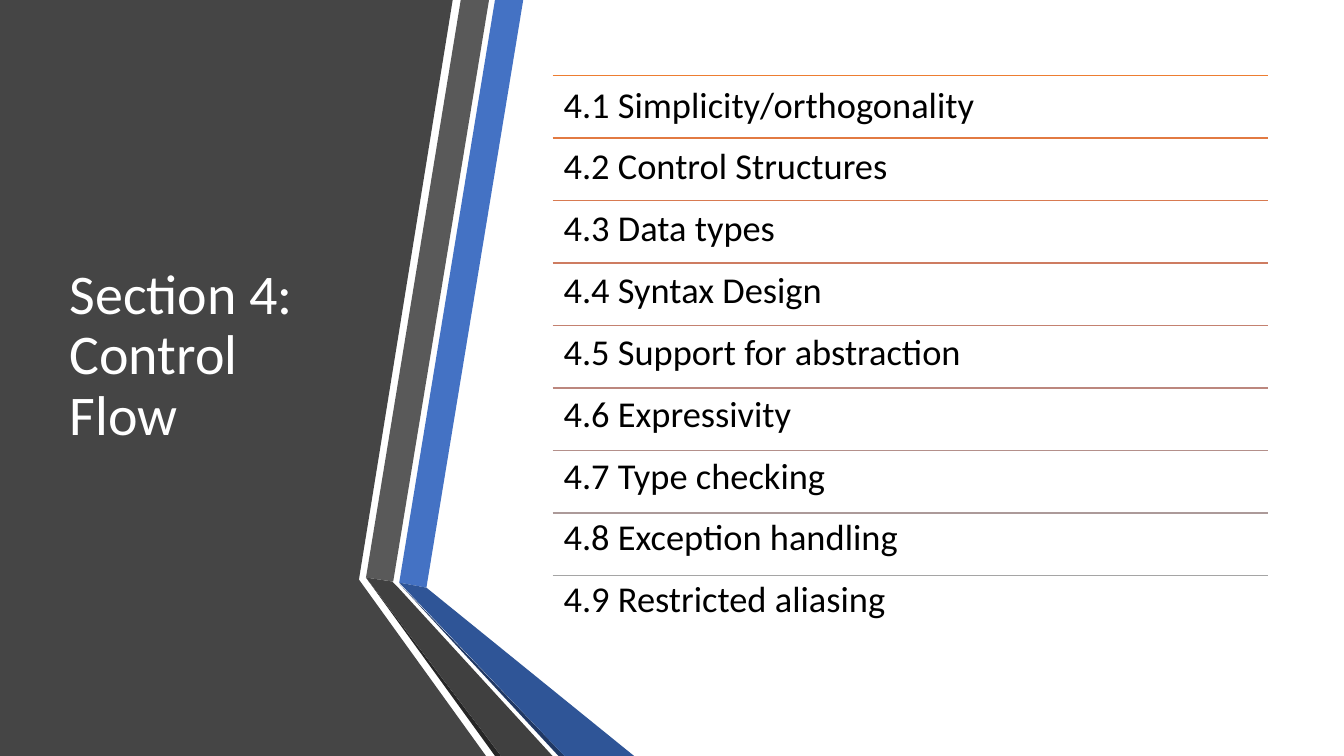
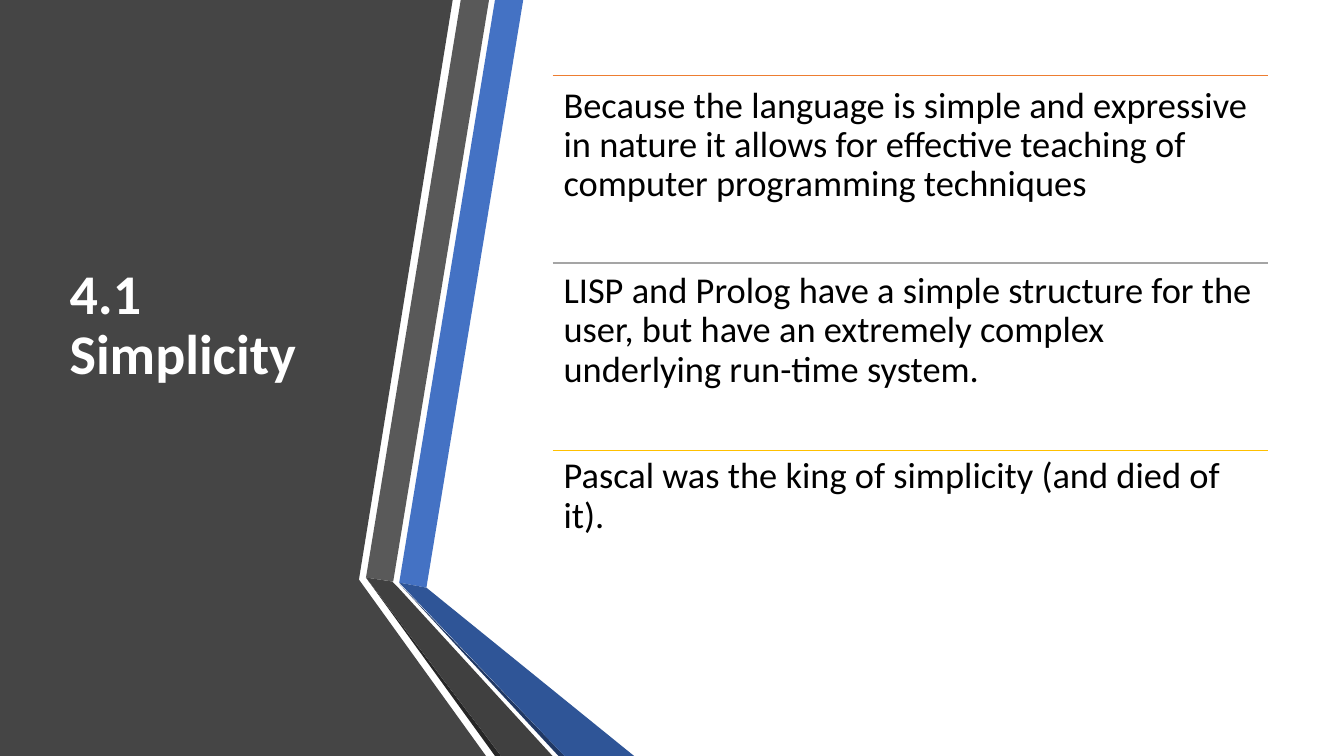
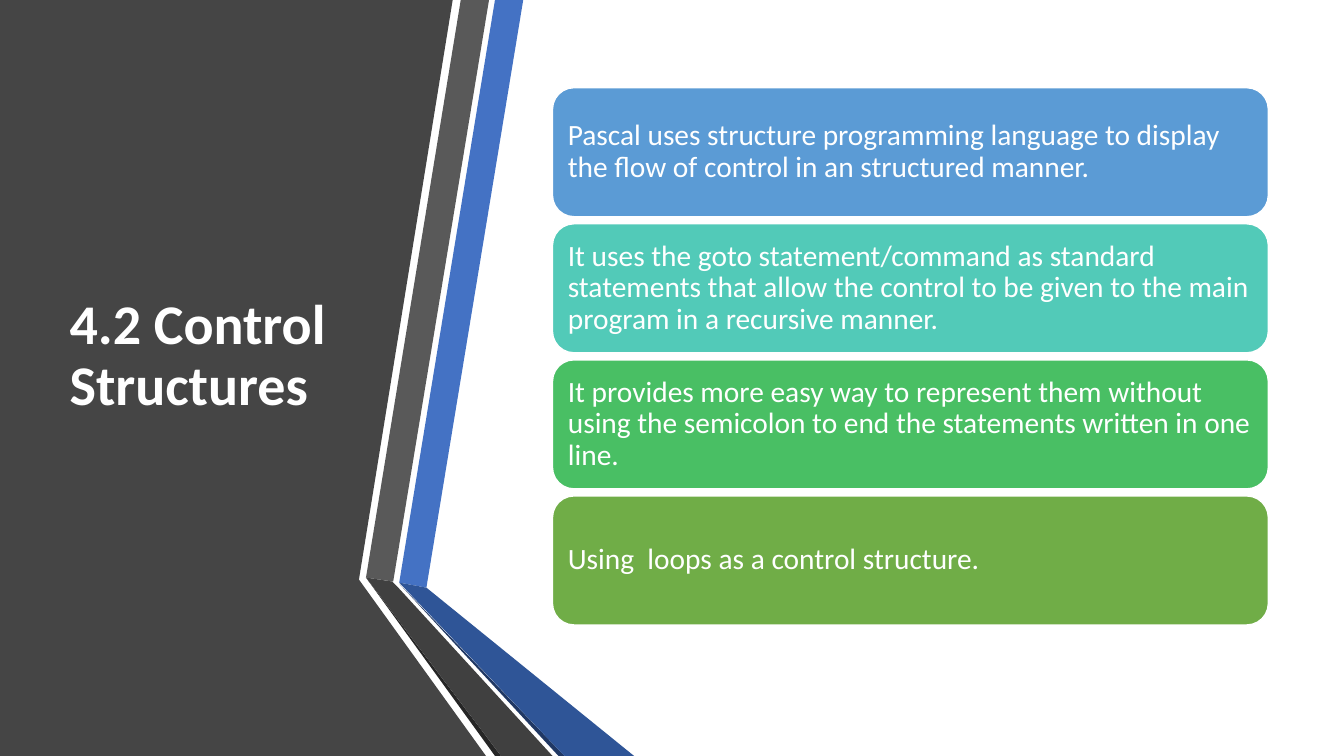
from lxml.etree import SubElement
from pptx import Presentation
from pptx.dml.color import RGBColor
from pptx.enum.shapes import MSO_CONNECTOR as CONN, MSO_SHAPE as SHAPE
from pptx.enum.text import MSO_ANCHOR as ANCHOR, MSO_AUTO_SIZE as FIT, PP_ALIGN as ALIGN
from pptx.oxml.ns import qn
from pptx.util import Inches, Pt

WHITE = RGBColor(0xFF, 0xFF, 0xFF)
BLACK = RGBColor(0x00, 0x00, 0x00)
PANEL = RGBColor(0x45, 0x45, 0x45)
GREY = RGBColor(0x59, 0x59, 0x59)
GREY_FOLD = RGBColor(0x40, 0x40, 0x40)
GREY_EDGE = RGBColor(0x26, 0x26, 0x26)
BLUE = RGBColor(0x44, 0x72, 0xC4)
BLUE_FOLD = RGBColor(0x2F, 0x55, 0x97)
BLUE_EDGE = RGBColor(0x20, 0x38, 0x64)
ORANGE = RGBColor(0xED, 0x7D, 0x31)
SILVER = RGBColor(0xA5, 0xA5, 0xA5)
GOLD = RGBColor(0xFF, 0xC0, 0x00)
SKY = RGBColor(0x5B, 0x9B, 0xD5)
TEAL = RGBColor(0x52, 0xCA, 0xB8)
GREEN = RGBColor(0x49, 0xBF, 0x64)
OLIVE = RGBColor(0x70, 0xAD, 0x47)
ORANGE_TO_SILVER = [
    ORANGE,
    RGBColor(0xE2, 0x7A, 0x42),
    RGBColor(0xD8, 0x7A, 0x51),
    RGBColor(0xCE, 0x7C, 0x61),
    RGBColor(0xC4, 0x81, 0x70),
    RGBColor(0xBC, 0x87, 0x7E),
    RGBColor(0xB4, 0x90, 0x8B),
    RGBColor(0xAC, 0x9A, 0x99),
    SILVER,
]

BANDS = [
    (PANEL, [(0, 0), (4.49, 0), (3.56, 5.75), (4.82, 7.5), (0, 7.5)]),
    (BLUE, [(3.96, 5.78), (4.23, 5.83), (5.19, 0), (4.91, 0)]),
    (GREY, [(4.85, 0), (4.57, 0), (3.63, 5.73), (3.9, 5.77)]),
    (GREY_EDGE, [(3.63, 5.73), (4.91, 7.5), (4.97, 7.5)]),
    (BLUE_EDGE, [(3.96, 5.79), (5.54, 7.5), (5.6, 7.5)]),
    (BLUE_FOLD, [(3.96, 5.78), (5.6, 7.5), (6.29, 7.5), (4.23, 5.83)]),
    (GREY_FOLD, [(5.48, 7.5), (3.95, 5.83), (3.89, 5.77), (3.63, 5.73), (4.97, 7.5)]),
]


class Deck:
    font = "Calibri"
    title_size, list_size, card_size = 40, 26, 21
    left, top, width, height = 5.48, 0.75, 7.1, 5.58
    spacing, line_height = 0.9, 1.22

    def __init__(self):
        self.prs = Presentation()
        self.prs.slide_width = Inches(13.33)
        self.prs.slide_height = Inches(7.5)

    def slide(self, layout):
        self.s = self.prs.slides.add_slide(self.prs.slide_layouts.get_by_name(layout))
        for colour, points in BANDS:
            self.band(colour, points)
        for ph in self.s.placeholders:
            ph.element.getparent().append(ph.element)

    def band(self, colour, points):
        start, *rest = [(Inches(x), Inches(y)) for x, y in points]
        builder = self.s.shapes.build_freeform(*start)
        builder.add_line_segments(rest, close=True)
        sp = builder.convert_to_shape()
        sp.shadow.inherit = False
        sp.fill.solid()
        sp.fill.fore_color.rgb = colour
        sp.line.fill.background()

    def place(self, sp, left, width):
        sp.left, sp.top = Inches(left), Inches(self.top)
        sp.width, sp.height = Inches(width), Inches(self.height)

    def frame(self, sp, anchor, inset=None):
        tf = sp.text_frame
        tf.word_wrap = True
        tf.auto_size = FIT.NONE
        tf.vertical_anchor = anchor
        if inset is not None:
            tf.margin_left = tf.margin_right = Inches(inset)
            tf.margin_top = tf.margin_bottom = Inches(inset)
        return tf

    def text(self, p, words, size, colour, bold=False):
        p.alignment = ALIGN.LEFT
        p.line_spacing = self.spacing
        p.space_before = Pt(0)
        r = p.add_run()
        r.text = words
        r.font.name = self.font
        r.font.size = Pt(size)
        r.font.bold = bold
        r.font.color.rgb = colour

    def title(self, words, bold=True, bottom=0.05):
        sp = self.s.shapes.title
        self.place(sp, 0.59, 3.04)
        tf = self.frame(sp, ANCHOR.MIDDLE)
        tf.margin_bottom = Inches(bottom)
        self.text(tf.paragraphs[0], words, self.title_size, WHITE, bold)

    def rule(self, y, colour):
        line = self.s.shapes.add_connector(
            CONN.STRAIGHT, Inches(self.left), Inches(y),
            Inches(self.left + self.width), Inches(y))
        line.line.color.rgb = colour
        line.line.width = Pt(1)
        SubElement(line.element.spPr, qn("a:effectLst"))

    def ruled_list(self, items, colours, lines):
        row = self.height / len(items)
        gap = row * 72 - lines * self.list_size * self.line_height * self.spacing
        sp = self.s.placeholders[1]
        self.place(sp, self.left, self.width)
        tf = self.frame(sp, ANCHOR.TOP, 0.11)
        for i, (words, colour) in enumerate(zip(items, colours)):
            self.rule(self.top + i * row, colour)
            p = tf.add_paragraph() if i else tf.paragraphs[0]
            self.text(p, words, self.list_size, BLACK)
            p.space_after = Pt(gap if i < len(items) - 1 else 0)
            pPr = p._p.get_or_add_pPr()
            pPr.set("marL", "0")
            pPr.set("indent", "0")
            SubElement(pPr, qn("a:buNone"))

    def cards(self, items, top=0.87, height=1.28, step=1.35):
        for i, (words, colour) in enumerate(items):
            sp = self.s.shapes.add_shape(
                SHAPE.ROUNDED_RECTANGLE, Inches(self.left), Inches(top + i * step),
                Inches(self.width), Inches(height))
            sp.shadow.inherit = False
            sp.fill.solid()
            sp.fill.fore_color.rgb = colour
            sp.line.color.rgb = WHITE
            sp.line.width = Pt(1)
            tf = self.frame(sp, ANCHOR.MIDDLE, 0.09)
            self.text(tf.paragraphs[0], words, self.card_size, WHITE)


def main():
    deck = Deck()

    deck.slide("Title and Content")
    deck.title("Section 4: Control Flow", bold=False)
    deck.ruled_list([
        "4.1 Simplicity/orthogonality",
        "4.2 Control Structures",
        "4.3 Data types",
        "4.4 Syntax Design",
        "4.5 Support for abstraction",
        "4.6 Expressivity",
        "4.7 Type checking",
        "4.8 Exception handling",
        "4.9 Restricted aliasing",
    ], ORANGE_TO_SILVER, lines=1)

    deck.slide("Title and Content")
    deck.title("4.1 Simplicity", bottom=0.65)
    deck.ruled_list([
        "Because the language is simple and expressive in nature it allows for "
        "effective teaching of computer programming techniques",
        "LISP and Prolog have a simple structure for the user, but have an "
        "extremely complex underlying run-time system.",
        "Pascal was the king of simplicity (and died of it).",
    ], [ORANGE, SILVER, GOLD], lines=3)

    deck.slide("Title Only")
    deck.title("4.2 Control Structures")
    deck.cards([
        ("Pascal uses structure programming language to display the flow of "
         "control in an structured manner.", SKY),
        ("It uses the goto statement/command as standard statements that allow "
         "the control to be given to the main program in a recursive manner.", TEAL),
        ("It provides more easy way to represent them without using the "
         "semicolon to end the statements written in one line.", GREEN),
        ("Using  loops as a control structure.", OLIVE),
    ])

    deck.prs.save("out.pptx")


if __name__ == "__main__":
    main()
